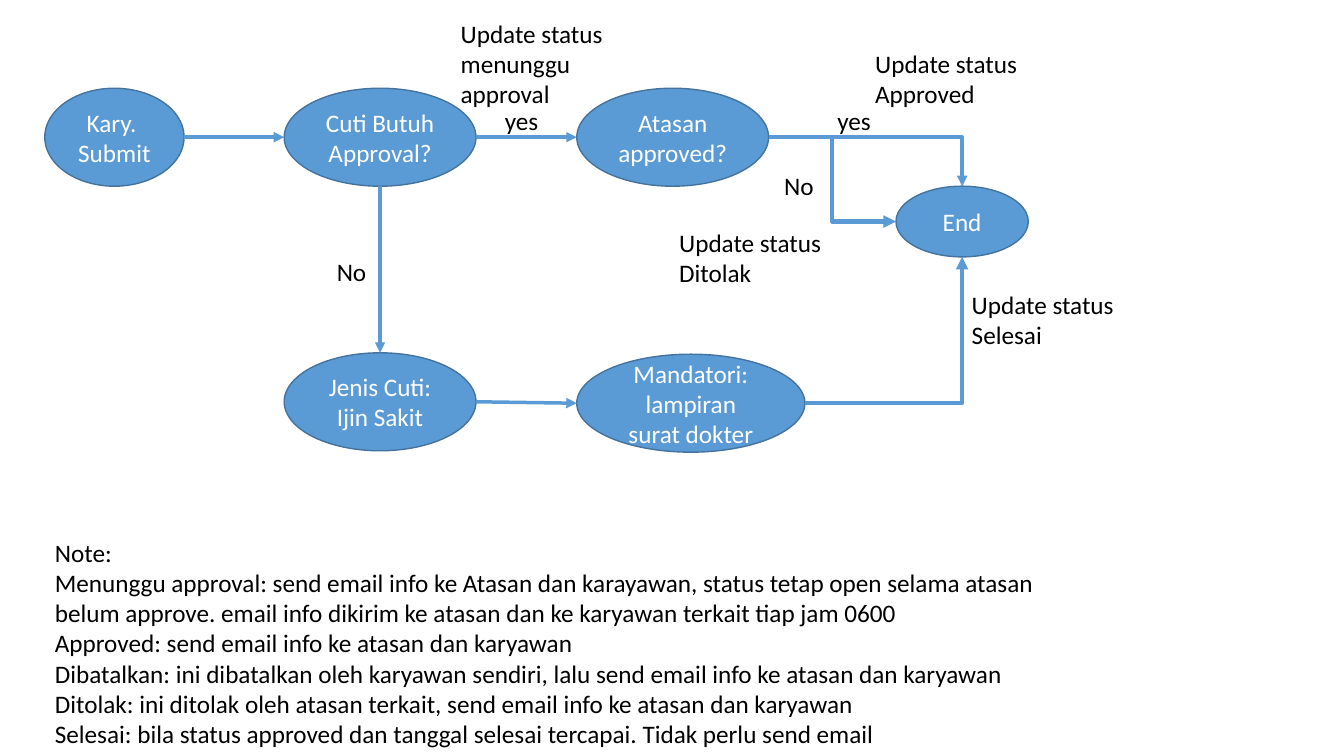
from dataclasses import dataclass
from typing import Any, NamedTuple

from lxml import etree
from pptx import Presentation
from pptx.dml import color
from pptx.enum import shapes, text
from pptx.oxml import ns
from pptx.util import Pt


@dataclass(frozen=True)
class Theme:
    font: str = "Calibri"
    size: float = 18
    ink: str = "000000"
    node_ink: str = "FFFFFF"
    node_fill: str = "5B9BD5"
    node_edge: str = "43739E"
    node_edge_width: float = 1
    flow: str = "5B9BD5"
    flow_width: float = 2.5
    heavy_flow_width: float = 3


THEME = Theme()


class Point(NamedTuple):
    x: float
    y: float


@dataclass(frozen=True)
class Step:
    wording: tuple[str, ...]
    left: float
    top: float
    width: float = 137
    height: float = 70

    @property
    def middle(self) -> Point:
        return Point(self.left + self.width / 2, self.top + self.height / 2)

    @property
    def west(self) -> Point:
        return Point(self.left, self.middle.y)

    @property
    def east(self) -> Point:
        return Point(self.left + self.width, self.middle.y)

    @property
    def north(self) -> Point:
        return Point(self.middle.x, self.top)

    @property
    def south(self) -> Point:
        return Point(self.middle.x, self.top + self.height)


class Flow(NamedTuple):
    start: Point
    end: Point
    geometry: str = "line"
    width: float = THEME.flow_width


class Label(NamedTuple):
    wording: str
    left: float
    top: float
    width: float = 58
    height: float = 29


APPROVAL_ROW, SICK_ROW = 63, 252
CHECK_COLUMN, DECISION_COLUMN = 203, 412

SUBMIT = Step(("Kary. ", "Submit"), 32, APPROVAL_ROW, 99.5)
NEEDS_APPROVAL = Step(("Cuti Butuh Approval?",), CHECK_COLUMN, APPROVAL_ROW)
SUPERVISOR = Step(("Atasan approved?",), DECISION_COLUMN, APPROVAL_ROW)
SICK_LEAVE = Step(("Jenis Cuti: Ijin Sakit",), CHECK_COLUMN, SICK_ROW)
DOCTOR_LETTER = Step(("Mandatori: lampiran surat dokter",), DECISION_COLUMN, SICK_ROW + 1, 163)
END = Step(("End",), 640, 133, 94.5, 50.5)
STEPS = (SUBMIT, NEEDS_APPROVAL, SUPERVISOR, SICK_LEAVE, DOCTOR_LETTER, END)

FLOWS = (
    Flow(SUBMIT.east, NEEDS_APPROVAL.west),
    Flow(NEEDS_APPROVAL.east, SUPERVISOR.west),
    Flow(NEEDS_APPROVAL.south, SICK_LEAVE.north),
    Flow(SICK_LEAVE.east, DOCTOR_LETTER.west),
    Flow(SUPERVISOR.east, END.north, "bentConnector2"),
    Flow(SUPERVISOR.east, END.west, "bentConnector3", THEME.heavy_flow_width),
    Flow(DOCTOR_LETTER.east, END.south, "bentConnector2", THEME.heavy_flow_width),
)

LABELS = (
    Label("No", 233.5, 179.5),
    Label("yes", 353.5, 72),
    Label("yes", 591, 72),
    Label("No", 553, 118),
    Label("Update status menunggu approval", 322, 9.5, 133, 73),
    Label("Update status Approved", 618, 31, 146, 51),
    Label("Update status Selesai", 687, 203, 148, 51),
    Label("Update status Ditolak", 478, 159, 148, 51),
)

NOTE = (
    "Note:",
    "Menunggu approval: send email info ke Atasan dan karayawan, status tetap open "
    "selama atasan belum approve. email info dikirim ke atasan dan ke karyawan "
    "terkait tiap jam 0600",
    "Approved: send email info ke atasan dan karyawan",
    "Dibatalkan: ini dibatalkan oleh karyawan sendiri, lalu send email info ke atasan dan karyawan",
    "Ditolak: ini ditolak oleh atasan terkait, send email info ke atasan dan karyawan",
    "Selesai: bila status approved dan tanggal selesai tercapai. Tidak perlu send email",
)

STEP_FRAME = {"word_wrap": True, "vertical_anchor": text.MSO_ANCHOR.MIDDLE}
LABEL_FRAME = {"word_wrap": True, "auto_size": text.MSO_AUTO_SIZE.SHAPE_TO_FIT_TEXT}
NOTE_FRAME = {
    "word_wrap": True,
    "auto_size": text.MSO_AUTO_SIZE.NONE,
    "vertical_anchor": text.MSO_ANCHOR.TOP,
}


def apply(target: Any, values: dict[str, Any]) -> None:
    for attribute, value in values.items():
        setattr(target, attribute, value)


def write(frame: Any, wording: tuple[str, ...], ink: str, align: Any, layout: dict[str, Any]) -> None:
    apply(frame, layout)
    frame.text = "\n".join(wording)
    for paragraph in frame.paragraphs:
        apply(paragraph, {"alignment": align, "space_before": Pt(0), "space_after": Pt(0)})
        font = paragraph.runs[0].font
        apply(font, {"name": THEME.font, "size": Pt(THEME.size)})
        font.color.rgb = color.RGBColor.from_string(ink)


def draw_step(slide: Any, step: Step) -> None:
    box = map(Pt, (step.left, step.top, step.width, step.height))
    oval = slide.shapes.add_shape(shapes.MSO_SHAPE.OVAL, *box)
    oval.shadow.inherit = False
    oval.fill.solid()
    oval.fill.fore_color.rgb = color.RGBColor.from_string(THEME.node_fill)
    oval.line.color.rgb = color.RGBColor.from_string(THEME.node_edge)
    oval.line.width = Pt(THEME.node_edge_width)
    write(oval.text_frame, step.wording, THEME.node_ink, text.PP_ALIGN.CENTER, STEP_FRAME)


def draw_flow(slide: Any, flow: Flow) -> None:
    arrow = slide.shapes.add_connector(
        shapes.MSO_CONNECTOR.STRAIGHT, *map(Pt, (*flow.start, *flow.end))
    )
    arrow.line.color.rgb = color.RGBColor.from_string(THEME.flow)
    arrow.line.width = Pt(flow.width)
    properties = arrow._element.spPr
    properties.find(ns.qn("a:prstGeom")).set("prst", flow.geometry)
    etree.SubElement(properties.find(ns.qn("a:ln")), ns.qn("a:tailEnd"), type="triangle")
    etree.SubElement(properties, ns.qn("a:effectLst"))


def draw_label(slide: Any, label: Label) -> None:
    box = map(Pt, (label.left, label.top, label.width, label.height))
    caption = slide.shapes.add_textbox(*box)
    write(caption.text_frame, (label.wording,), THEME.ink, text.PP_ALIGN.LEFT, LABEL_FRAME)


def fill_note(note: Any) -> None:
    apply(note, {"left": Pt(32), "top": Pt(380), "width": Pt(731.5), "height": Pt(160)})
    write(note.text_frame, NOTE, THEME.ink, text.PP_ALIGN.LEFT, NOTE_FRAME)
    for paragraph in note.text_frame.paragraphs:
        properties = paragraph._p.get_or_add_pPr()
        properties.set("marL", "0")
        properties.set("indent", "0")
        etree.SubElement(properties, ns.qn("a:buNone"))


def main() -> None:
    deck = Presentation()
    apply(deck, {"slide_width": Pt(960), "slide_height": Pt(540)})
    slide = deck.slides.add_slide(deck.slide_layouts[1])
    title = slide.shapes.title._element
    title.getparent().remove(title)
    fill_note(slide.placeholders[1])
    for step in STEPS:
        draw_step(slide, step)
    for flow in FLOWS:
        draw_flow(slide, flow)
    for label in LABELS:
        draw_label(slide, label)
    deck.save("out.pptx")


if __name__ == "__main__":
    main()
